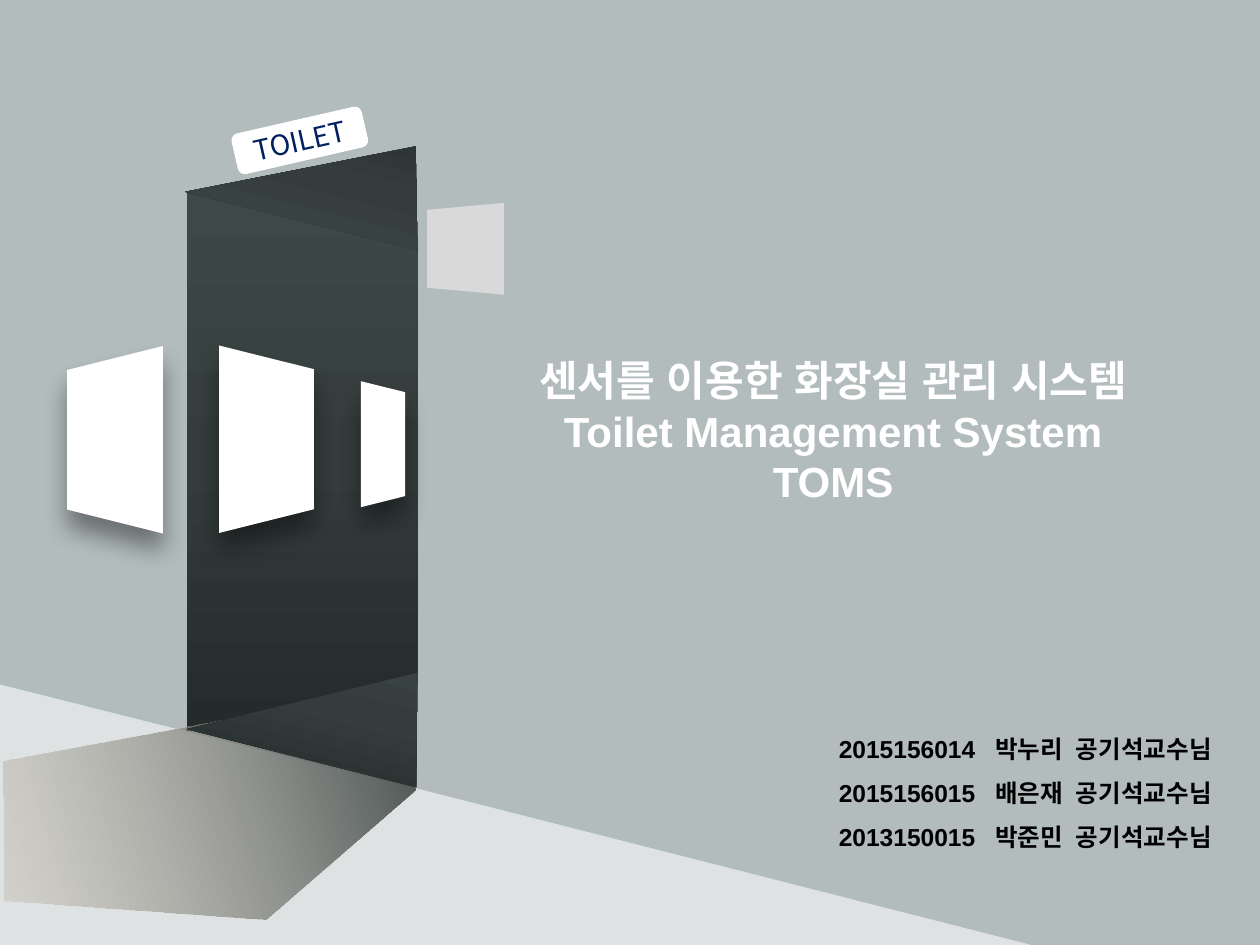
"""Build the title slide with an open toilet door and a project title."""
import math
from dataclasses import dataclass

from pptx import Presentation
from pptx.dml.color import RGBColor
from pptx.enum.shapes import MSO_SHAPE
from pptx.enum.text import MSO_ANCHOR, PP_ALIGN
from pptx.oxml import parse_xml
from pptx.oxml.ns import nsdecls, qn
from pptx.util import Cm, Pt

TRAPEZOID = MSO_SHAPE.TRAPEZOID
TRIANGLE = MSO_SHAPE.ISOSCELES_TRIANGLE
ROUNDED = MSO_SHAPE.ROUNDED_RECTANGLE
CENTER = PP_ALIGN.CENTER
LEFT = PP_ALIGN.LEFT
MIDDLE = MSO_ANCHOR.MIDDLE
TOP = MSO_ANCHOR.TOP


@dataclass(frozen=True)
class Theme:
    """Colours, fonts and type sizes."""
    floor: str = "DEE2E2"
    wall: str = "B2BCBD"
    white: str = "FFFFFF"
    plate: str = "D9D9D9"
    navy: str = "002060"
    black: str = "000000"
    door: tuple = ((0, "242B2A", 100), (50, "343D3C", 100), (100, "3D4948", 100))
    light: tuple = ((0, "D6CCC0", 46), (100, "3E4847", 100))
    font: str = "Arial"
    sign_font: str = "Noto Sans CJK KR"
    title_size: int = 24
    sign_size: int = 16
    names_size: int = 14


THEME = Theme()


def fill_solid(sp, color):
    """Fill a shape with one colour."""
    sp.fill.solid()
    sp.fill.fore_color.rgb = RGBColor.from_string(color)


def fill_gradient(sp, stops, angle):
    """Fill a shape with a linear gradient, its angle counted clockwise."""
    gs = "".join(
        f'<a:gs pos="{pos * 1000}"><a:srgbClr val="{color}">'
        f'<a:alpha val="{alpha * 1000}"/></a:srgbClr></a:gs>'
        for pos, color, alpha in stops)
    sp.fill.background()
    spPr = sp.element.spPr
    spPr.replace(spPr.find(qn("a:noFill")), parse_xml(
        f'<a:gradFill {nsdecls("a")} rotWithShape="1"><a:gsLst>{gs}</a:gsLst>'
        f'<a:lin ang="{angle * 60000}" scaled="0"/></a:gradFill>'))


def set_style(sp, fill, angle):
    """Apply a solid or gradient fill and drop the line and shadow."""
    if isinstance(fill, str):
        fill_solid(sp, fill)
    else:
        fill_gradient(sp, fill, angle)
    sp.line.fill.background()
    sp.shadow.inherit = False


def add_preset(s, kind, box, fill, rotation=0, adj=None, angle=0):
    """Add a rotated preset shape."""
    sp = s.shapes.add_shape(kind, *map(Cm, box))
    sp.rotation = rotation
    if adj is not None:
        sp.adjustments[0] = adj
    set_style(sp, fill, angle)
    return sp


def add_shadow(sp):
    """Cast a soft shadow downwards."""
    sp.element.spPr.find(qn("a:effectLst")).append(parse_xml(
        f'<a:outerShdw {nsdecls("a")} blurRad="{Pt(14)}" dist="{Pt(10)}" '
        f'dir="5400000" algn="t" rotWithShape="0"><a:srgbClr val="{THEME.black}">'
        '<a:alpha val="40000"/></a:srgbClr></a:outerShdw>'))


def add_polygon(s, points, fill, angle=0):
    """Add a closed outline through the points."""
    start, *rest = [(Cm(x), Cm(y)) for x, y in points]
    fb = s.shapes.build_freeform(*start)
    fb.add_line_segments(rest, close=True)
    sp = fb.convert_to_shape()
    set_style(sp, fill, angle)
    return sp


def rotate_points(points, center, degrees):
    """Turn points clockwise about a centre."""
    cx, cy = center
    c, d = math.cos(math.radians(degrees)), math.sin(math.radians(degrees))
    return [(cx + (x - cx) * c - (y - cy) * d, cy + (x - cx) * d + (y - cy) * c)
            for x, y in points]


def set_text(sp, lines, size, color, font, bold, align, anchor, spacing=1, tabs=()):
    """Write lines as paragraphs with optional tab stops."""
    tf = sp.text_frame
    tf.word_wrap = not tabs
    tf.vertical_anchor = anchor
    tf.text = "\n".join(lines)
    for p in tf.paragraphs:
        if tabs:
            stops = "".join(f'<a:tab pos="{Cm(t)}" algn="l"/>' for t in tabs)
            p._p.get_or_add_pPr().append(
                parse_xml(f'<a:tabLst {nsdecls("a")}>{stops}</a:tabLst>'))
        p.alignment = align
        p.line_spacing = spacing
        p.space_before = Pt(0)
        p.font.size = Pt(size)
        p.font.bold = bold
        p.font.name = font
        p.font.color.rgb = RGBColor.from_string(color)
        p._p.pPr.find(qn("a:defRPr")).append(
            parse_xml(f'<a:ea {nsdecls("a")} typeface="{font}"/>'))


def draw_walls_and_door(s):
    """Draw the walls, the open door and the light on the floor."""
    add_polygon(s, [(0, 0), (8.15, 0), (8.15, 15.85), (-0.03, 13.79)], THEME.wall)
    add_polygon(s, [(7.92, -0.03), (25.4, -0.03), (25.4, 19.05), (20.8, 19.05),
                    (7.92, 15.77)], THEME.wall)
    add_preset(s, TRAPEZOID, (0.66, 6.99, 10.87, 4.65), THEME.door, 90, angle=180)
    add_preset(s, TRIANGLE, (3.91, 2.46, 4.83, 2.03), THEME.door, 14.2, 0.886, 90)
    corners = [(7.65, 13.92), (8.38, 15.9), (5.36, 18.52), (0.1, 18.14), (0.08, 15.32)]
    light = add_polygon(s, rotate_points(corners, (4.09, 16.51), -73), THEME.light, 270)
    light.rotation = 73
    add_preset(s, TRIANGLE, (3.96, 13.08, 4.78, 2.24), THEME.door, 14.2, 0.886, 270)


def draw_signs(s):
    """Draw the white panels, the wall plate and the sign above the door."""
    for box, rotation in (((3.48, 7.9, 3.78, 1.91), 90),
                          ((6.45, 8.51, 2.54, 0.89), 90),
                          ((0.43, 7.9, 3.78, 1.93), 270)):
        add_shadow(add_preset(s, TRAPEZOID, box, THEME.white, rotation))
    add_preset(s, TRAPEZOID, (8.46, 4.24, 1.85, 1.55), THEME.plate, 270, 0.09)
    add_preset(s, ROUNDED, (4.7, 2.41, 2.69, 0.84), THEME.white, 347.1)
    label = s.shapes.add_textbox(*map(Cm, (3.68, 2.36, 4.72, 0.94)))
    label.rotation = 347.3
    set_text(label, ["TOILET"], THEME.sign_size, THEME.navy, THEME.sign_font,
             False, CENTER, TOP)


def write_title(s):
    """Write the project title in front of the walls."""
    title = s.shapes.title
    title.left, title.top, title.width, title.height = map(Cm, (9.58, 6.25, 14.43, 4.85))
    s.shapes.element.append(title.element)
    tf = title.text_frame
    tf.margin_left = tf.margin_right = tf.margin_top = tf.margin_bottom = 0
    set_text(title, ["센서를 이용한 화장실 관리 시스템", "Toilet Management System", "TOMS"],
             THEME.title_size, THEME.white, THEME.font, True, CENTER, MIDDLE)


def write_members(s):
    """Write the numbers and names of the members in columns."""
    names = s.shapes.add_textbox(*map(Cm, (16.66, 14.38, 8.59, 3.81)))
    members = (("2015156014", "박누리"), ("2015156015", "배은재"), ("2013150015", "박준민"))
    set_text(names, [f"{number}\t{name}\t공기석교수님" for number, name in members],
             THEME.names_size, THEME.black, THEME.font, True, LEFT, TOP, 1.5,
             (3.15, 4.78))


def main():
    """Build and save the slide."""
    prs = Presentation()
    prs.slide_width, prs.slide_height = Cm(25.4), Cm(19.05)
    s = prs.slides.add_slide(prs.slide_layouts[5])
    fill_solid(s.background, THEME.floor)
    draw_walls_and_door(s)
    draw_signs(s)
    write_title(s)
    write_members(s)
    prs.save("out.pptx")


if __name__ == "__main__":
    main()
